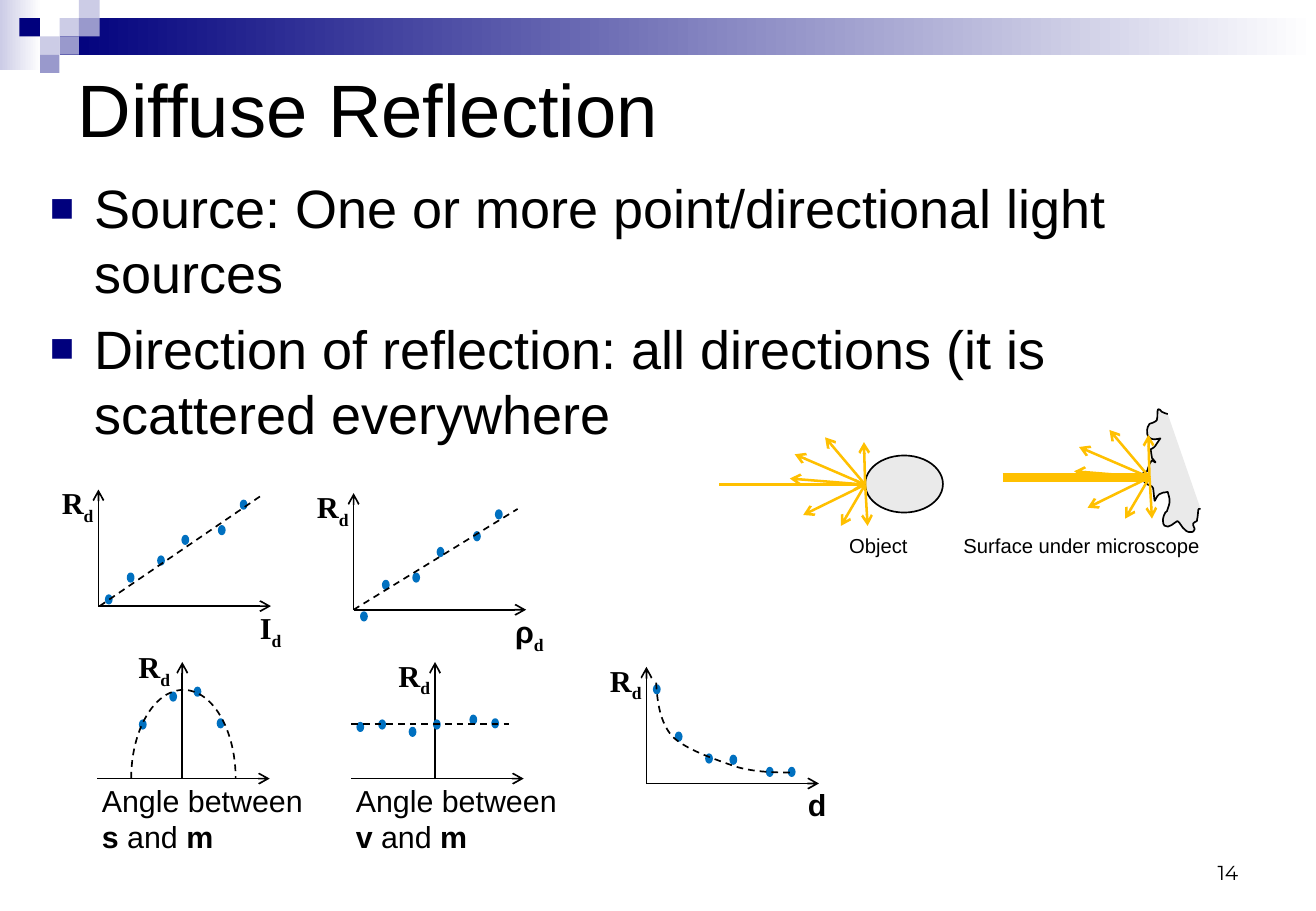
from dataclasses import dataclass
from typing import NamedTuple, Optional, Sequence

from pptx import Presentation
from pptx.dml.color import RGBColor
from pptx.enum.dml import MSO_LINE
from pptx.enum.shapes import MSO_CONNECTOR, MSO_SHAPE
from pptx.enum.text import MSO_ANCHOR, MSO_AUTO_SIZE, PP_ALIGN
from pptx.oxml.ns import qn
from pptx.util import Emu, Pt
from lxml.etree import SubElement

PX = 9144
COLORS = {"black": "000000", "white": "FFFFFF", "navy": "00007D", "lilac": "CCCCE6",
          "violet": "9999CC", "grey": "EAEAEA", "ray": "FFC000", "dot": "0070C0"}
SANS, SERIF = "Arial", "Times New Roman"


class Point(NamedTuple):
    x: int
    y: int


class Box(NamedTuple):
    x: int
    y: int
    w: int
    h: int


class Span(NamedTuple):
    text: str
    font: str = SANS
    bold: bool = False
    subscript: bool = False
    break_after: bool = False


@dataclass
class Plot:
    foot: Point
    heights: Sequence[int]
    quantity: Sequence[Span]
    quantity_box: Box
    left: int = 0
    dot_steps: Sequence[int] = (6, 24, 49, 69, 99, 117)
    response_at: Point = Point(-40, -105)
    trend: Optional[tuple[Point, Point]] = None


def px(length: int) -> Emu:
    return Emu(length * PX)


def color(name: str) -> RGBColor:
    return RGBColor.from_string(COLORS[name])


def style_font(font, size: float, face: str = SANS, bold: bool = False) -> None:
    font.size, font.name, font.bold = Pt(size), face, bold
    font.color.rgb = color("black")


def style_shape(shape, fill: str, line: str, dashed: bool = False) -> None:
    shape.shadow.inherit = False
    if fill:
        shape.fill.solid()
        shape.fill.fore_color.rgb = color(fill)
    else:
        shape.fill.background()
    if line:
        shape.line.color.rgb = color(line)
        shape.line.width = Pt(1)
        if dashed:
            shape.line.dash_style = MSO_LINE.DASH
    else:
        shape.line.fill.background()


def draw_shape(canvas, kind, box: Box, fill: str, line: str = "", dashed: bool = False):
    shape = canvas.add_shape(kind, *map(px, box))
    style_shape(shape, fill, line, dashed)
    return shape


def draw_line(canvas, start: Point, end: Point, stroke: str = "black", width: float = 1,
              arrow: bool = False, dashed: bool = False) -> None:
    line = canvas.add_connector(MSO_CONNECTOR.STRAIGHT, *map(px, (*start, *end)))
    line.line.color.rgb = color(stroke)
    line.line.width = Pt(width)
    if dashed:
        line.line.dash_style = MSO_LINE.DASH
    if arrow:
        SubElement(line.line._get_or_add_ln(), qn("a:tailEnd"), type="arrow")
    SubElement(line._element.spPr, qn("a:effectLst"))


def draw_curve(canvas, controls: Sequence[tuple[int, int]], fill: str = "",
               dashed: bool = False) -> None:
    builder = canvas.build_freeform(*controls[0], scale=PX)
    builder.add_line_segments(controls[1:], close=False)
    curve = builder.convert_to_shape()
    segments = list(curve._element.iter(qn("a:lnTo")))
    outline = segments[0].getparent()
    for index, segment in enumerate(segments):
        if index % 3 == 0:
            bend = SubElement(outline, qn("a:cubicBezTo"))
        bend.append(segment[0])
        outline.remove(segment)
    style_shape(curve, fill, "black", dashed)


def draw_text(canvas, box: Box, spans: Sequence[Span], size: float = 18, wrap: bool = False):
    frame = canvas.add_textbox(*map(px, box)).text_frame
    frame.word_wrap = wrap
    paragraph = frame.paragraphs[0]
    for span in spans:
        run = paragraph.add_run()
        run.text = span.text
        style_font(run.font, size, span.font, span.bold)
        if span.subscript:
            run._r.get_or_add_rPr().set("baseline", "-25000")
        if span.break_after:
            paragraph.add_line_break()
    return frame


def draw_banner(canvas) -> None:
    for box, fill in FADES:
        fade = draw_shape(canvas, MSO_SHAPE.RECTANGLE, box, fill).fill
        fade.gradient()
        fade.gradient_angle = 0
        for position, (stop, name) in enumerate(zip(fade.gradient_stops, (fill, "white"))):
            stop.color.rgb = color(name)
            stop.position = position
    for column, row, fill in TILES:
        x, following = COLUMNS[column:column + 2]
        draw_shape(canvas, MSO_SHAPE.RECTANGLE, Box(x, row * 15, following - x, 15), fill)


def draw_rays(canvas, hit: Point, source: Point, beam_width: float, beam_arrow: bool) -> None:
    draw_line(canvas, source, hit, "ray", beam_width, arrow=beam_arrow)
    for dx, dy in RAYS:
        draw_line(canvas, hit, Point(hit.x + dx, hit.y + dy), "ray", 1.5, arrow=True)


def draw_plot(canvas, plot: Plot) -> None:
    foot = plot.foot
    start = Point(foot.x - plot.left, foot.y)
    axes = canvas.add_group_shape().shapes
    draw_line(axes, foot, Point(foot.x, foot.y - 96), arrow=True)
    draw_line(axes, start, Point(start.x + 142, foot.y), arrow=True)
    draw_text(axes, Box(foot.x + plot.response_at.x, foot.y + plot.response_at.y, 48, 40),
              [Span("R", SERIF, True), SUB_D])
    dx, dy, w, h = plot.quantity_box
    draw_text(axes, Box(start.x + dx, start.y + dy, w, h), plot.quantity)
    for step, height in zip(plot.dot_steps, plot.heights):
        draw_shape(canvas, MSO_SHAPE.OVAL, Box(start.x + step, height, 5, 7), "dot", "dot")
    if plot.trend:
        draw_line(canvas, *plot.trend, dashed=True)


def angle_to(vector: str) -> list[Span]:
    return [Span("Angle between", break_after=True), Span(vector, bold=True),
            Span(" and "), Span("m", bold=True)]


SUB_D = Span("d", SERIF, True, True)
ANGLE_BOX = Box(-6, -2, 187, 71)
RAYS = [(-33, -39), (-58, -25), (-51, 25), (-20, 34), (2, 34), (-1, -35), (-62, -5)]
FADES = [(Box(0, 0, 34, 58), "lilac"), (Box(49, 15, 1034, 30), "navy")]
COLUMNS = (16, 33, 49, 65, 82)
TILES = [(2, 1, "lilac"), (3, 0, "lilac"), (3, 1, "violet"), (1, 2, "lilac"),
         (0, 1, "navy"), (2, 2, "violet"), (1, 3, "violet")]
BULLETS = ["Source: One or more point/directional light sources",
           "Direction of reflection: all directions (it is scattered everywhere"]
PLOTS = [
    Plot(Point(81, 499), (490, 472, 458, 441, 433, 412), [Span("I", SERIF, True), SUB_D],
         Box(123, -2, 39, 40), trend=(Point(82, 499), Point(215, 408))),
    Plot(Point(291, 502), (504, 478, 472, 451, 438, 420), [Span("ρ", SANS, True), SUB_D],
         Box(123, -2, 45, 40), trend=(Point(291, 502), Point(426, 419))),
    Plot(Point(532, 645), (564, 603, 621, 622, 632, 632), [Span("d", SANS, True)],
         Box(123, -3, 36, 40)),
    Plot(Point(358, 641), (595, 593, 599, 593, 589, 592), angle_to("v"), ANGLE_BOX,
         left=69, dot_steps=(5, 23, 48, 68, 98, 116), trend=(Point(289, 596), Point(419, 596))),
    Plot(Point(150, 641), (593, 570, 566, 592), angle_to("s"), ANGLE_BOX,
         left=70, dot_steps=(35, 60, 80, 99), response_at=Point(-46, -112)),
]
DECAY = [(540, 562), (541, 578), (543, 594), (553, 606), (564, 617), (588, 625), (605, 631),
         (621, 636), (640, 636), (653, 636)]
ROUGH_SURFACE = [
    (961, 341), (959, 340), (957, 340), (956, 339), (955, 338), (954, 336), (953, 337),
    (952, 339), (953, 343), (952, 346), (952, 347), (950, 347), (949, 348), (948, 348),
    (947, 349), (946, 349), (945, 351), (944, 352), (944, 354), (943, 365), (954, 361),
    (955, 361), (949, 369), (952, 367), (947, 370), (947, 373), (948, 375), (948, 377),
    (950, 380), (954, 383), (948, 379), (948, 380), (946, 381), (946, 382), (945, 384),
    (945, 386), (944, 388), (943, 389), (942, 389), (941, 389), (941, 391), (940, 393),
    (940, 395), (941, 397), (942, 397), (943, 398), (944, 399), (945, 399), (947, 400),
    (948, 400), (948, 401), (949, 402), (951, 419), (949, 411), (954, 407), (956, 405),
    (958, 406), (961, 405), (962, 410), (964, 411), (961, 419), (961, 421), (960, 421),
    (959, 422), (958, 424), (957, 426), (957, 428), (957, 438), (965, 432), (966, 431),
    (967, 431), (968, 429), (969, 429), (971, 430), (973, 435), (975, 436), (976, 437),
    (977, 438), (978, 438), (980, 438), (982, 439), (983, 436), (984, 435), (981, 433),
    (982, 431), (982, 430), (984, 430), (985, 429), (987, 418), (985, 419), (988, 419)]

presentation = Presentation()
presentation.slide_width, presentation.slide_height = px(1083), px(750)
slide = presentation.slides.add_slide(presentation.slide_layouts[1])
content = slide.shapes

banner = content.add_group_shape()
draw_banner(banner.shapes)
for number, properties in enumerate(banner._element.iter(qn("p:cNvPr")), 100):
    properties.set("id", str(number))
presentation.slide_master.shapes._spTree.insert(2, banner._element)

heading, points_list = slide.placeholders
for holder, box in ((heading, Box(54, 50, 975, 78)), (points_list, Box(31, 139, 1021, 562))):
    holder.left, holder.top, holder.width, holder.height = map(px, box)
    holder.text_frame.auto_size = MSO_AUTO_SIZE.NONE
heading.text_frame.text = "Diffuse Reflection"
heading.text_frame.vertical_anchor = MSO_ANCHOR.MIDDLE
heading.text_frame.paragraphs[0].alignment = PP_ALIGN.LEFT
style_font(heading.text_frame.paragraphs[0].runs[0].font, 44)

points_list.text_frame.text = "\n".join(BULLETS)
for index, paragraph in enumerate(points_list.text_frame.paragraphs):
    paragraph.space_before = Pt(6.4 if index else 0)
    properties = paragraph._p.get_or_add_pPr()
    properties.set("marL", str(px(37)))
    properties.set("indent", str(px(-37)))
    SubElement(SubElement(properties, qn("a:buClr")), qn("a:srgbClr"), val=COLORS["navy"])
    SubElement(properties, qn("a:buSzPct"), val="75000")
    SubElement(properties, qn("a:buFont"), typeface=SANS)
    SubElement(properties, qn("a:buChar"), char="■")
    style_font(paragraph.runs[0].font, 32)

page_number = draw_text(content, Box(776, 683, 253, 50), [Span("14", "Montserrat")], 12, True)
page_number.vertical_anchor = MSO_ANCHOR.BOTTOM
page_number.paragraphs[0].alignment = PP_ALIGN.RIGHT

draw_shape(content, MSO_SHAPE.OVAL, Box(712, 375, 64, 47), "grey", "black")
draw_rays(content, Point(712, 399), Point(592, 399), 1.5, beam_arrow=True)
draw_curve(content, ROUGH_SURFACE, "grey")
draw_rays(content, Point(946, 393), Point(825, 393), 5.5, beam_arrow=False)

captions = draw_text(content, Box(689, 434, 311, 30), [], 12, True).paragraphs[0]
tab_stops = SubElement(captions._p.get_or_add_pPr(), qn("a:tabLst"))
SubElement(tab_stops, qn("a:tab"), pos=str(px(94)), algn="l")
captions.text = "Object\tSurface under microscope"
for run in captions.runs:
    style_font(run.font, 12)

for plot in PLOTS:
    draw_plot(content, plot)
draw_curve(content, DECAY, dashed=True)
bell = draw_shape(content, MSO_SHAPE.ARC, Box(108, 568, 86, 146), "", "black", dashed=True)
bell.adjustments[0], bell.adjustments[1] = 108, 0

presentation.save("out.pptx")
